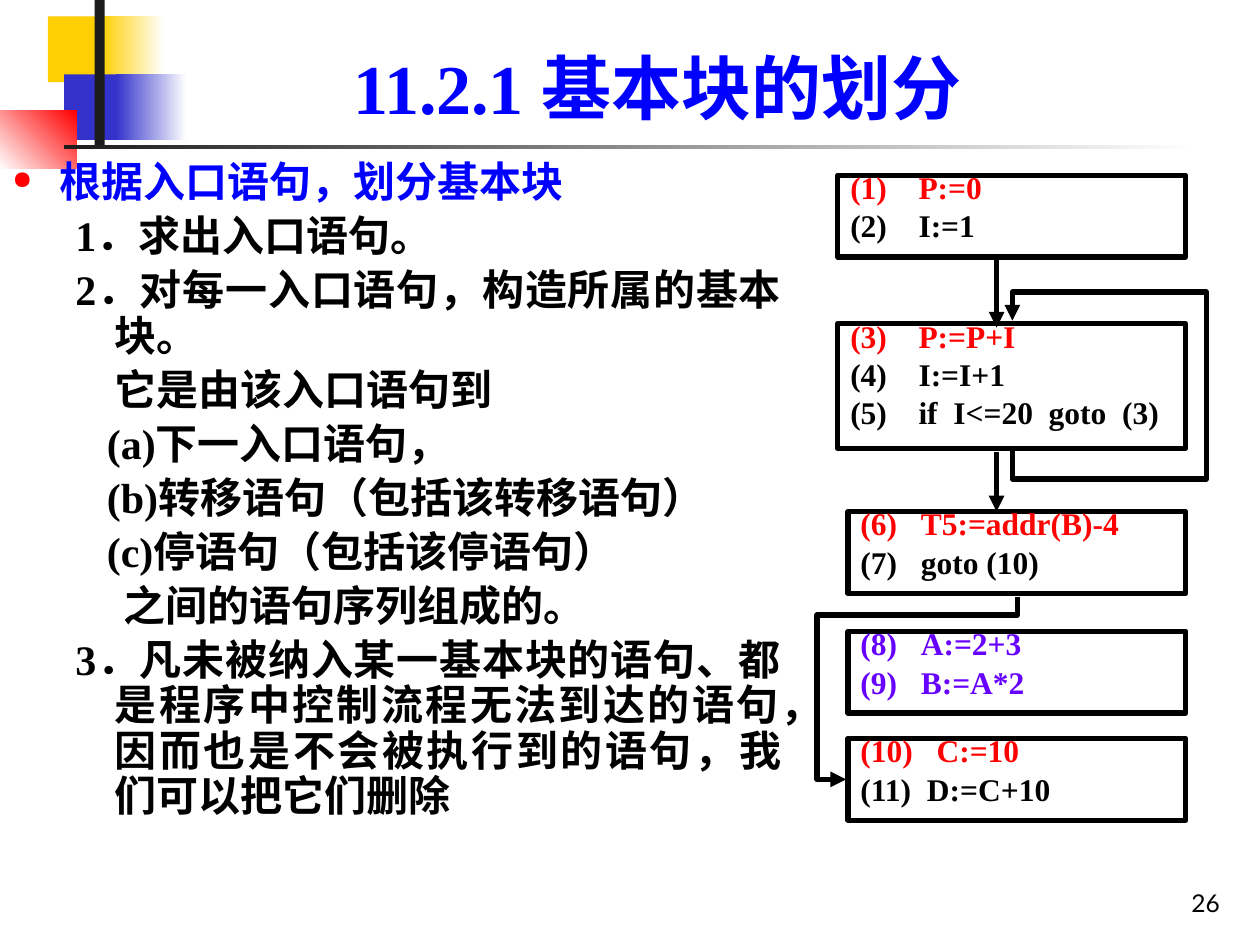
from lxml import etree
from pptx import Presentation
from pptx.dml.color import RGBColor
from pptx.enum.shapes import MSO_CONNECTOR, MSO_SHAPE
from pptx.enum.text import MSO_ANCHOR, PP_ALIGN
from pptx.oxml.ns import qn
from pptx.util import Pt

RECT = MSO_SHAPE.RECTANGLE
STRAIGHT, ELBOW = MSO_CONNECTOR.STRAIGHT, MSO_CONNECTOR.ELBOW
TOP, BOTTOM = MSO_ANCHOR.TOP, MSO_ANCHOR.BOTTOM
LEFT, CENTER, RIGHT, JUSTIFY = PP_ALIGN.LEFT, PP_ALIGN.CENTER, PP_ALIGN.RIGHT, PP_ALIGN.JUSTIFY

COLORS = {
    "white": "FFFFFF", "black": "000000", "yellow": "FFCF01", "indigo": "3333CC",
    "red": "FF0000", "ink": "1C1C1C", "blue": "0000FF", "violet": "6600FF",
}
SERIF = "Times New Roman"

# left, top, width, height, colour or gradient pair, gradient angle
DECORATION = [
    (27.4, 9.4, 48, 37.5, ["yellow"], 0),
    (57.6, 9.4, 36, 37.5, ["yellow", "white"], 0),
    (36.7, 42.5, 46, 37.5, ["indigo"], 0),
    (66.2, 42.5, 40.3, 37.5, ["indigo", "white"], 0),
    (0, 63.4, 44, 33.1, ["white", "red"], 45),
    (54, 0, 5.8, 82.8, ["ink"], 0),
    (36.7, 82.8, 648, 2.2, ["ink", "white"], 0),
]

# text, left margin, first-line indent
STEPS = [
    ("1．求出入口语句。", 58.5, -22.5),
    ("2．对每一入口语句，构造所属的基本块。", 58.5, -22.5),
    ("它是由该入口语句到", 58.5, 0),
    ("(a)下一入口语句，", 54, 0),
    ("(b)转移语句（包括该转移语句）", 54, 0),
    ("(c)停语句（包括该停语句）", 54, 0),
    ("之间的语句序列组成的。", 63.5, 0),
    ("3．凡未被纳入某一基本块的语句、都是程序中控制流程无法到达的语句，"
     "因而也是不会被执行到的语句，我们可以把它们删除", 58.5, -22.5),
]

# left, top, width, height, statements as (text, tab stop, colour)
BLOCKS = [
    (478.8, 100.1, 198.7, 46.8, [("(1)\tP:=0", 39, "red"), ("(2)\tI:=1", 39, "black")]),
    (478.8, 185, 198.7, 71.3, [("(3)\tP:=P+I", 39, "red"), ("(4)\tI:=I+1", 39, "black"),
                               ("(5)\tif  I<=20  goto  (3)", 39, "black")]),
    (484.6, 292.3, 193, 46.8, [("(6)\tT5:=addr(B)-4", 34.5, "red"),
                               ("(7)\tgoto (10)", 34.5, "black")]),
    (484.6, 360.7, 193, 46.8, [("(8)\tA:=2+3", 34.5, "violet"), ("(9)\tB:=A*2", 34.5, "violet")]),
    (484.6, 421.9, 193, 46.8, [("(10)\tC:=10", 43.5, "red"), ("(11)\tD:=C+10", 38, "black")]),
]


def rgb(color):
    return RGBColor.from_string(COLORS[color])


def add_rect(slide, left, top, width, height):
    rect = slide.shapes.add_shape(RECT, Pt(left), Pt(top), Pt(width), Pt(height))
    rect.shadow.inherit = False
    return rect


def add_decoration(slide, left, top, width, height, colors, angle):
    rect = add_rect(slide, left, top, width, height)
    rect.line.fill.background()
    if len(colors) == 1:
        rect.fill.solid()
        rect.fill.fore_color.rgb = rgb(colors[0])
        return
    rect.fill.gradient()
    rect.fill.gradient_angle = angle
    for stop, position, color in zip(rect.fill.gradient_stops, (0, 1), colors):
        stop.position = position
        stop.color.rgb = rgb(color)


def add_text_box(slide, left, top, width, height, anchor):
    frame = slide.shapes.add_textbox(Pt(left), Pt(top), Pt(width), Pt(height)).text_frame
    frame.word_wrap = True
    frame.vertical_anchor = anchor
    return frame


def next_paragraph(frame, index):
    return frame.add_paragraph() if index else frame.paragraphs[0]


def write(paragraph, text, size, color, align=LEFT, font=SERIF, bold=True):
    paragraph.text = text
    paragraph.alignment = align
    for run in paragraph.runs:
        run.font.name = font
        run.font.size = Pt(size)
        run.font.bold = bold
        run.font.color.rgb = rgb(color)


def set_spacing(paragraph, index, line, before):
    paragraph.line_spacing = line
    paragraph.space_before = Pt(before if index else 0)


def set_indent(paragraph, margin, indent):
    props = paragraph._p.get_or_add_pPr()
    props.set("marL", str(Pt(margin)))
    props.set("indent", str(Pt(indent)))
    return props


def add_steps(slide):
    frame = add_text_box(slide, 0, 88.6, 453.6, 419.8, TOP)
    heading = frame.paragraphs[0]
    write(heading, "根据入口语句，划分基本块", 24, "blue")
    set_spacing(heading, 0, 0.9, 0)
    props = set_indent(heading, 27, -27)
    bullet_color = etree.SubElement(props, qn("a:buClr"))
    etree.SubElement(bullet_color, qn("a:srgbClr"), val=COLORS["red"])
    etree.SubElement(props, qn("a:buSzPct"), val="60000")
    etree.SubElement(props, qn("a:buChar"), char="●")
    for index, (text, margin, indent) in enumerate(STEPS, 1):
        step = next_paragraph(frame, index)
        write(step, text, 24, "black", JUSTIFY)
        set_spacing(step, index, 0.9, 5)
        set_indent(step, margin, indent)


def add_block(slide, left, top, width, height, statements):
    block = add_rect(slide, left, top, width, height)
    block.fill.solid()
    block.fill.fore_color.rgb = rgb("white")
    block.line.color.rgb = rgb("black")
    block.line.width = Pt(3)
    frame = block.text_frame
    frame.word_wrap = True
    frame.vertical_anchor = TOP
    for index, (text, tab, color) in enumerate(statements):
        statement = next_paragraph(frame, index)
        write(statement, text, 18, color)
        set_spacing(statement, index, 0.6, 9)
        tabs = etree.SubElement(statement._p.get_or_add_pPr(), qn("a:tabLst"))
        etree.SubElement(tabs, qn("a:tab"), pos=str(Pt(tab)), algn="l")


def add_arrow(slide, kind, x1, y1, x2, y2):
    arrow = slide.shapes.add_connector(kind, Pt(x1), Pt(y1), Pt(x2), Pt(y2))
    arrow.line.color.rgb = rgb("black")
    arrow.line.width = Pt(3)
    etree.SubElement(arrow.line._get_or_add_ln(), qn("a:tailEnd"), type="triangle")
    etree.SubElement(arrow._element.spPr, qn("a:effectLst"))
    return arrow


def add_bent_arrow(slide, x1, y1, x2, y2, preset, bends):
    """Bent arrow laid out lying down, then turned a quarter clockwise."""
    arrow = add_arrow(slide, ELBOW, x1, y1, x2, y2)
    arrow.rotation = 90
    geometry = arrow._element.spPr.find(qn("a:prstGeom"))
    geometry.set("prst", preset)
    guides = geometry.find(qn("a:avLst"))
    if guides is None:
        guides = etree.SubElement(geometry, qn("a:avLst"))
    for number, bend in enumerate(bends, 1):
        etree.SubElement(guides, qn("a:gd"), name=f"adj{number}",
                         fmla=f"val {round(bend * 100000)}")


def main():
    prs = Presentation()
    prs.slide_width, prs.slide_height = Pt(720), Pt(540)
    slide = prs.slides.add_slide(prs.slide_layouts[6])

    # Corner decoration and rule
    for item in DECORATION:
        add_decoration(slide, *item)

    # Page number, title and steps
    number = add_text_box(slide, 554.4, 491.8, 149.8, 36, BOTTOM)
    write(number.paragraphs[0], "26", 14, "black", RIGHT, "Lato", False)
    title = add_text_box(slide, 90.7, 16.6, 569.5, 60.5, BOTTOM)
    write(title.paragraphs[0], "11.2.1 基本块的划分", 40, "blue", CENTER)
    add_steps(slide)

    # Basic blocks and control flow
    for block in BLOCKS:
        add_block(slide, *block)
    for start, end in ((145.4, 187.2), (258.5, 292.3)):
        add_arrow(slide, STRAIGHT, 569.5, start, 569.5, end)
    add_bent_arrow(slide, 615.6, 220.42, 541.4, 220.3, "bentConnector5", [-0.22, 978, 1.22])
    add_bent_arrow(slide, 480.2, 344.2, 584.6, 442.1, "bentConnector4", [0.1, 1.17])

    prs.save("out.pptx")


if __name__ == "__main__":
    main()
